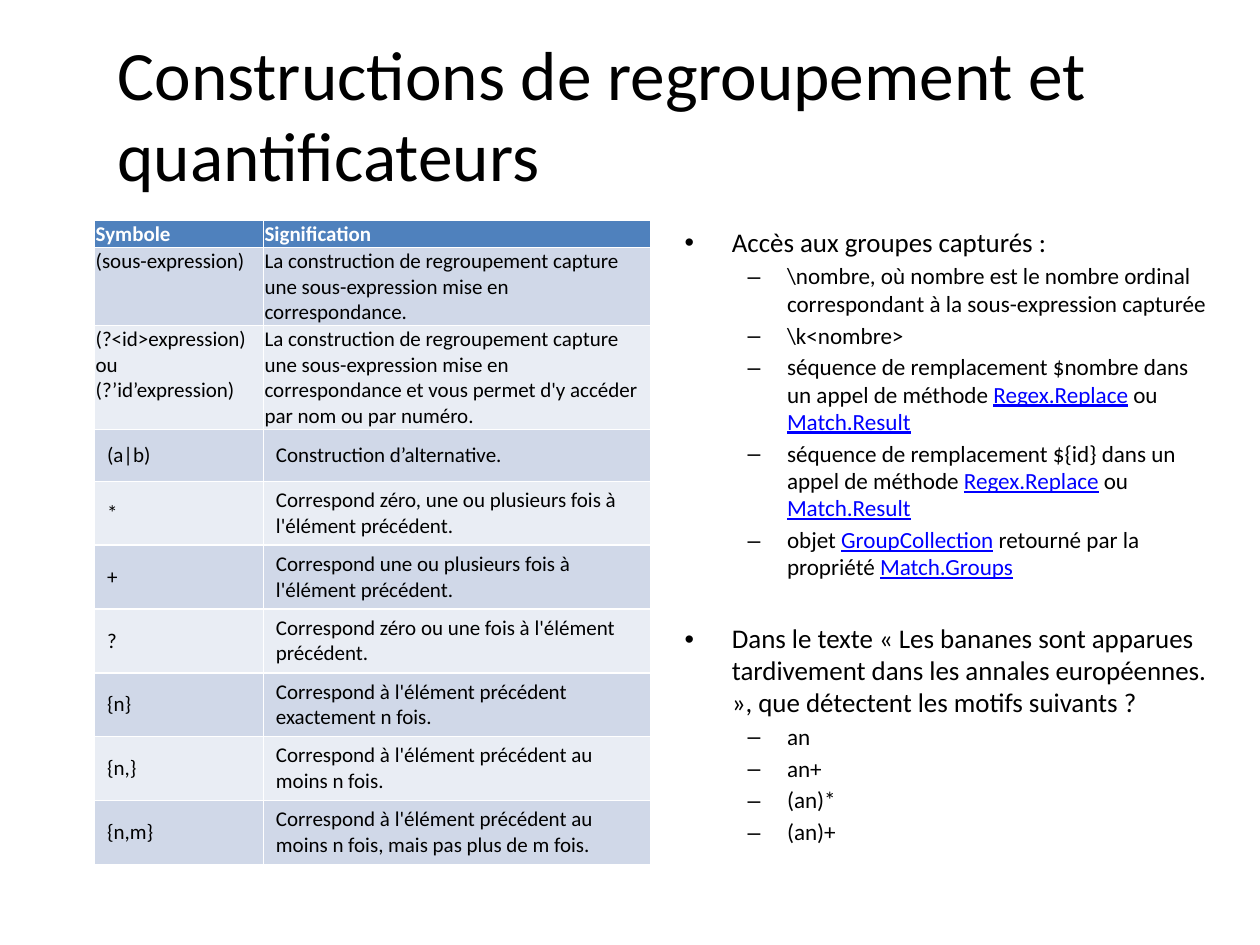
from dataclasses import dataclass

from pptx import Presentation
from pptx.dml.color import RGBColor as Color
from pptx.enum.text import MSO_ANCHOR as Anchor, MSO_AUTO_SIZE as AutoSize, PP_ALIGN as Align
from pptx.util import Pt

TITLE = "Constructions de regroupement et quantificateurs"

HEADER = ("Symbole", "Signification")
GROUPING_ROWS = [
    ("(sous-expression)",
     "La construction de regroupement capture une sous-expression mise en correspondance."),
    ("(?<id>expression)\nou\n(?’id’expression)",
     "La construction de regroupement capture une sous-expression mise en correspondance "
     "et vous permet d'y accéder par nom ou par numéro."),
]
QUANTIFIER_ROWS = [
    ("(a|b)", "Construction d’alternative."),
    ("*", "Correspond zéro, une ou plusieurs fois à l'élément précédent."),
    ("+", "Correspond une ou plusieurs fois à l'élément précédent."),
    ("?", "Correspond zéro ou une fois à l'élément précédent."),
    ("{n}", "Correspond à l'élément précédent exactement n fois."),
    ("{n,}", "Correspond à l'élément précédent au moins n fois."),
    ("{n,m}", "Correspond à l'élément précédent au moins n fois, mais pas plus de m fois."),
]

LINK_MARK = "|"
SECTIONS = [
    ("Accès aux groupes capturés :", [
        "\\nombre, où nombre est le nombre ordinal correspondant à la sous-expression capturée",
        "\\k<nombre>",
        "séquence de remplacement $nombre dans un appel de méthode |Regex.Replace| ou |Match.Result|",
        "séquence de remplacement ${id} dans un appel de méthode |Regex.Replace| ou |Match.Result|",
        "objet |GroupCollection| retourné par la propriété |Match.Groups|",
    ]),
    ("Dans le texte « Les bananes sont apparues tardivement dans les annales européennes. », "
     "que détectent les motifs suivants ?", ["an", "an+", "(an)*", "(an)+"]),
]


@dataclass(frozen=True)
class Theme:
    font: str = "Calibri"
    text: Color = Color(0, 0, 0)
    link: Color = Color(0, 0, 255)
    header_text: Color = Color(255, 255, 255)
    header_fill: Color = Color(0x4F, 0x81, 0xBD)
    bands: tuple = (Color(0xD0, 0xD8, 0xE8), Color(0xE9, 0xED, 0xF4))
    title_size: float = 39.6
    table_size: float = 12
    body_sizes: tuple = (15.4, 13.2)
    line_spacing: float = 0.98


THEME = Theme()
TITLE_BOX = (60, 21.6, 636, 90)
TABLE_BOX = (54, 126, 318, 364)
BODY_BOX = (384, 126, 318, 356)
COLUMN_WIDTHS = (96.5, 221.5)
ROW_HEIGHTS = [15.4, 44.7, 59.3, 29.7] + [36.5] * 6
TIGHT_MARGIN = 0.7
INDENTS = ((27, -27), (58.5, -22.5))
BULLET_GAP = 2.7
SECTION_GAP = 24.3


def place(shape, box):
    shape.left, shape.top, shape.width, shape.height = map(Pt, box)


def format_run(run, size, color, bold=False):
    run.font.name = THEME.font
    run.font.size = Pt(size)
    run.font.color.rgb = color
    run.font.bold = bold


def add_title(slide):
    title = slide.shapes.title
    place(title, TITLE_BOX)
    frame = title.text_frame
    frame.text = TITLE
    frame.auto_size = AutoSize.NONE
    frame.vertical_anchor = Anchor.MIDDLE
    paragraph = frame.paragraphs[0]
    paragraph.alignment = Align.LEFT
    paragraph.line_spacing = THEME.line_spacing
    format_run(paragraph.runs[0], THEME.title_size, THEME.text)


def add_symbol_table(slide):
    rows = [HEADER, *GROUPING_ROWS, *QUANTIFIER_ROWS]
    table = slide.shapes.add_table(len(rows), len(HEADER), *map(Pt, TABLE_BOX)).table
    for column, width in zip(table.columns, COLUMN_WIDTHS):
        column.width = Pt(width)
    for row_index, texts in enumerate(rows):
        table.rows[row_index].height = Pt(ROW_HEIGHTS[row_index])
        is_header = row_index == 0
        is_tight = row_index <= len(GROUPING_ROWS)
        for column_index, text in enumerate(texts):
            cell = table.cell(row_index, column_index)
            cell.text_frame.text = text
            cell.fill.solid()
            cell.fill.fore_color.rgb = THEME.header_fill if is_header else THEME.bands[(row_index - 1) % 2]
            cell.vertical_anchor = Anchor.TOP if is_tight and not is_header else Anchor.MIDDLE
            if is_tight:
                cell.margin_left = cell.margin_top = cell.margin_right = Pt(TIGHT_MARGIN)
                cell.margin_bottom = 0
            for paragraph in cell.text_frame.paragraphs:
                for run in paragraph.runs:
                    format_run(run, THEME.table_size,
                               THEME.header_text if is_header else THEME.text, is_header)


def add_bullet(paragraph, text, level, gap):
    paragraph.level = level
    paragraph.space_before = Pt(gap)
    paragraph.line_spacing = THEME.line_spacing
    margin, indent = INDENTS[level]
    properties = paragraph._p.get_or_add_pPr()
    properties.set("marL", str(Pt(margin)))
    properties.set("indent", str(Pt(indent)))
    for part_index, part in enumerate(text.split(LINK_MARK)):
        if part:
            is_link = part_index % 2 == 1
            run = paragraph.add_run()
            run.text = part
            format_run(run, THEME.body_sizes[level], THEME.link if is_link else THEME.text)
            run.font.underline = is_link


def add_body(slide):
    body = slide.placeholders[1]
    place(body, BODY_BOX)
    frame = body.text_frame
    frame.auto_size = AutoSize.NONE
    for section_index, (heading, items) in enumerate(SECTIONS):
        is_first = section_index == 0
        paragraph = frame.paragraphs[0] if is_first else frame.add_paragraph()
        add_bullet(paragraph, heading, 0, 0 if is_first else SECTION_GAP)
        for item in items:
            add_bullet(frame.add_paragraph(), item, 1, BULLET_GAP)


def main():
    presentation = Presentation()
    presentation.slide_width, presentation.slide_height = Pt(720), Pt(540)
    slide = presentation.slides.add_slide(presentation.slide_layouts[1])
    add_title(slide)
    add_symbol_table(slide)
    add_body(slide)
    presentation.save("out.pptx")


if __name__ == "__main__":
    main()
